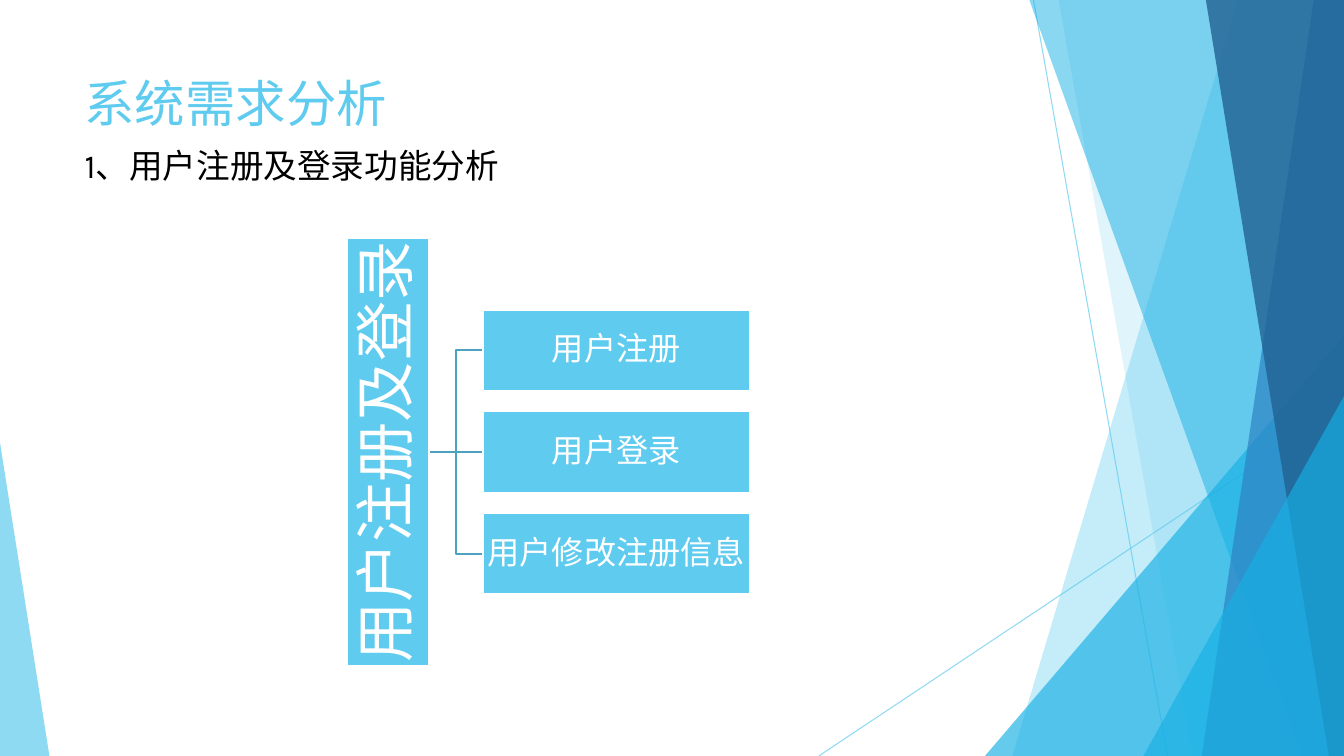
from dataclasses import dataclass

from lxml import etree
from pptx import Presentation
from pptx.dml.color import RGBColor
from pptx.enum.shapes import MSO_CONNECTOR, MSO_SHAPE
from pptx.enum.text import MSO_ANCHOR, PP_ALIGN
from pptx.oxml.ns import qn
from pptx.util import Inches, Pt

SLIDE_WIDTH, SLIDE_HEIGHT = Inches(13.33), Inches(7.5)
BLANK_LAYOUT = 6
RECTANGLE = MSO_SHAPE.RECTANGLE
TRIANGLE = MSO_SHAPE.ISOSCELES_TRIANGLE
STRAIGHT = MSO_CONNECTOR.STRAIGHT
TOP, MIDDLE = MSO_ANCHOR.TOP, MSO_ANCHOR.MIDDLE
LEFT, CENTER = PP_ALIGN.LEFT, PP_ALIGN.CENTER

FONT = "Karla"
SKY, CYAN, BLUE, NAVY = "5FCBEF", "17B0E4", "2E83C3", "226292"
BRANCH, WHITE, BLACK = "4CA3BF", "FFFFFF", "000000"

BOX_LEFT, BOX_WIDTH, BOX_HEIGHT, BOX_PITCH = 35.93, 19.88, 10.8, 13.45
ROOT_LEFT, ROOT_LENGTH = 12.98, 31.81
MIDDLE_TOP = 54.4
MIDDLE_ROW = MIDDLE_TOP + BOX_HEIGHT / 2
BRANCH_START, BRANCH_BEND = 31.96, 33.91
FUNCTIONS = ["用户注册", "用户登录", "用户修改注册信息"]


@dataclass
class Facet:
    top_left: float
    bottom_left: float
    color: str
    opacity: int


@dataclass
class Corner:
    left: float
    top: float
    width: float
    apex: float
    color: str
    opacity: int


BACK_FACETS = [Facet(92.12, 75.32, SKY, 36), Facet(78.77, 88.75, SKY, 20)]
BACK_CORNER = Corner(73.29, 44.4, 26.71, 1, CYAN, 66)
FRONT_FACETS = [
    Facet(76.59, 96.85, CYAN, 50),
    Facet(97.75, 89.42, BLUE, 70),
    Facet(89.72, 98.87, NAVY, 80),
]
FRONT_CORNERS = [
    Corner(85.07, 52.4, 14.93, 1, CYAN, 66),
    Corner(0, 58.53, 3.68, 0, SKY, 70),
]


def column(share: float) -> int:
    return round(SLIDE_WIDTH * share / 100)


def row(share: float) -> int:
    return round(SLIDE_HEIGHT * share / 100)


def rgb(color: str) -> RGBColor:
    return RGBColor.from_string(color)


def set_opacity(shape, opacity: int) -> None:
    for color in shape.element.spPr.iter(qn("a:srgbClr")):
        etree.SubElement(color, qn("a:alpha"), val=str(opacity * 1000))


def set_line(shape, color: str, width: float) -> None:
    shape.line.color.rgb = rgb(color)
    shape.line.width = Pt(width)


def fill_plain(shape, color: str, opacity: int = 100) -> None:
    shape.shadow.inherit = False
    shape.fill.solid()
    shape.fill.fore_color.rgb = rgb(color)
    shape.line.fill.background()
    if opacity < 100:
        set_opacity(shape, opacity)


def draw_line(slide, start: tuple, end: tuple, color: str, width: float, opacity: int = 100) -> None:
    connector = slide.shapes.add_connector(
        STRAIGHT, column(start[0]), row(start[1]), column(end[0]), row(end[1]))
    set_line(connector, color, width)
    etree.SubElement(connector.element.spPr, qn("a:effectLst"))
    if opacity < 100:
        set_opacity(connector, opacity)


def draw_outline(slide, points: list, close: bool):
    corners = [(column(x), row(y)) for x, y in points]
    builder = slide.shapes.build_freeform(*corners[0])
    builder.add_line_segments(corners[1:], close=close)
    return builder.convert_to_shape()


def draw_facet(slide, facet: Facet) -> None:
    points = [(facet.top_left, 0), (100, 0), (100, 100), (facet.bottom_left, 100)]
    fill_plain(draw_outline(slide, points, True), facet.color, facet.opacity)


def draw_corner(slide, corner: Corner) -> None:
    shape = slide.shapes.add_shape(
        TRIANGLE, column(corner.left), row(corner.top),
        column(corner.width), row(100 - corner.top))
    shape.adjustments[0] = corner.apex
    fill_plain(shape, corner.color, corner.opacity)


def write(shape, text: str, *, size: float, color: str, align=LEFT, anchor=TOP,
          margin: float | None = None, spacing: float = 1.0) -> None:
    frame = shape.text_frame
    frame.word_wrap = True
    frame.vertical_anchor = anchor
    if margin is not None:
        frame.margin_left = frame.margin_right = Inches(margin)
        frame.margin_top = frame.margin_bottom = Inches(margin)
    paragraph = frame.paragraphs[0]
    paragraph.alignment = align
    paragraph.line_spacing = spacing
    run = paragraph.add_run()
    run.text = text
    run.font.name = FONT
    run.font.size = Pt(size)
    run.font.color.rgb = rgb(color)


def draw_heading(slide, text: str, top: float, width: float, height: float,
                 size: float, color: str) -> None:
    box = slide.shapes.add_textbox(column(5.55), row(top), column(width), row(height))
    write(box, text, size=size, color=color)


def draw_box(slide, text: str, left: float, top: float, width: float,
             size: float, margin: float, rotation: float = 0) -> None:
    box = slide.shapes.add_shape(
        RECTANGLE, column(left), row(top), column(width), row(BOX_HEIGHT))
    box.rotation = rotation
    fill_plain(box, SKY)
    set_line(box, WHITE, 1.5)
    write(box, text, size=size, color=WHITE, align=CENTER, anchor=MIDDLE,
          margin=margin, spacing=0.9)


def draw_elbow(slide, end_row: float) -> None:
    points = [(BRANCH_START, MIDDLE_ROW), (BRANCH_BEND, MIDDLE_ROW),
              (BRANCH_BEND, end_row), (BOX_LEFT, end_row)]
    elbow = draw_outline(slide, points, False)
    elbow.shadow.inherit = False
    elbow.fill.background()
    set_line(elbow, BRANCH, 1.5)


def draw_backdrop(slide) -> None:
    draw_line(slide, (76.9, 0), (86.87, 100), SKY, 0.75, 70)
    draw_line(slide, (100, 53.73), (60.92, 100), SKY, 0.75, 70)
    for facet in BACK_FACETS:
        draw_facet(slide, facet)
    draw_corner(slide, BACK_CORNER)
    for facet in FRONT_FACETS:
        draw_facet(slide, facet)
    for corner in FRONT_CORNERS:
        draw_corner(slide, corner)


def draw_hierarchy(slide) -> None:
    for direction in (1, -1):
        draw_elbow(slide, MIDDLE_ROW + direction * BOX_PITCH)
    draw_line(slide, (BRANCH_START, MIDDLE_ROW), (BOX_LEFT, MIDDLE_ROW), BRANCH, 1.5)
    draw_box(slide, "用户注册及登录", ROOT_LEFT, MIDDLE_TOP, ROOT_LENGTH, 43, 0.03, 270)
    for position, name in enumerate(FUNCTIONS, -1):
        draw_box(slide, name, BOX_LEFT, MIDDLE_TOP + position * BOX_PITCH, BOX_WIDTH, 23, 0.02)


def main() -> None:
    presentation = Presentation()
    presentation.slide_width, presentation.slide_height = SLIDE_WIDTH, SLIDE_HEIGHT
    slide = presentation.slides.add_slide(presentation.slide_layouts[BLANK_LAYOUT])
    draw_backdrop(slide)
    draw_heading(slide, "系统需求分析", 8.93, 70.52, 19.2, 36, SKY)
    draw_hierarchy(slide)
    draw_heading(slide, "1、用户注册及登录功能分析", 18.53, 33.76, 6.67, 24, BLACK)
    presentation.save("out.pptx")


if __name__ == "__main__":
    main()
